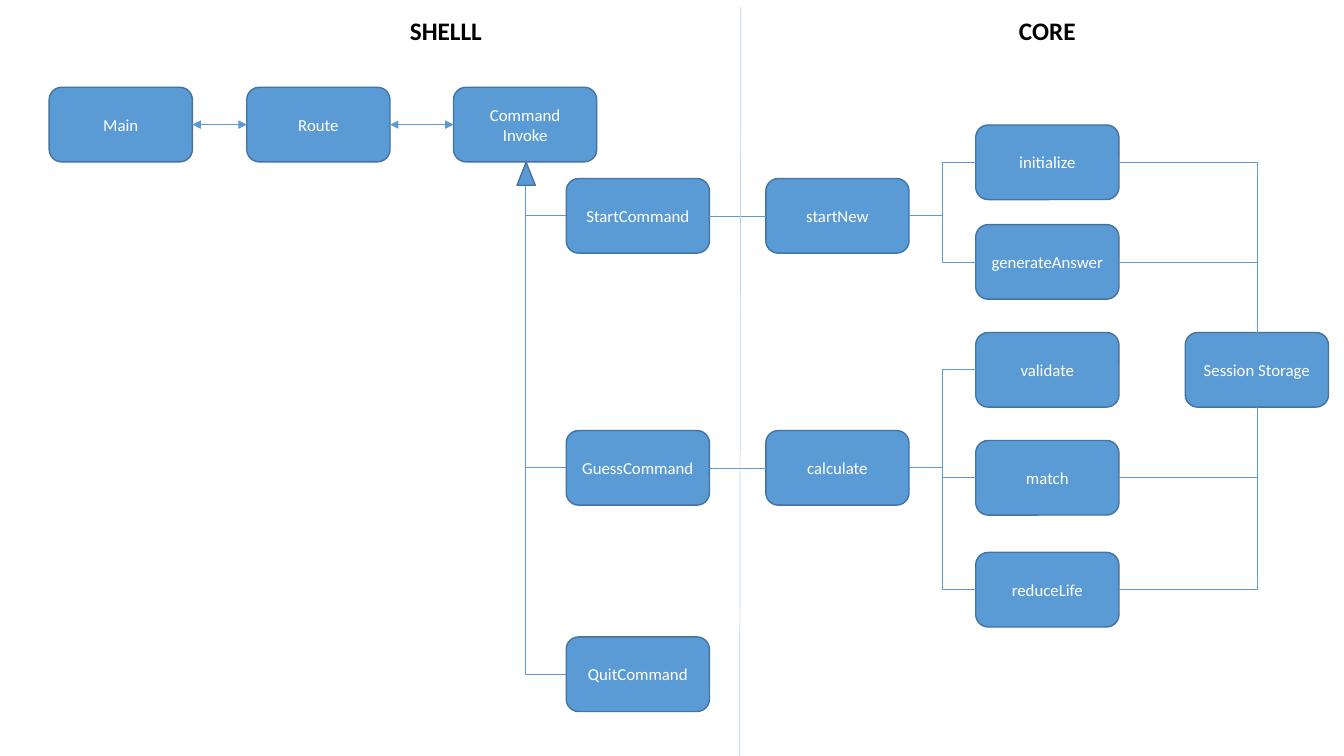
from pptx import Presentation
from pptx.dml.color import RGBColor
from pptx.enum.shapes import MSO_CONNECTOR, MSO_SHAPE
from pptx.enum.text import MSO_ANCHOR, PP_ALIGN
from pptx.oxml.ns import qn
from pptx.util import Cm, Pt
from lxml.etree import SubElement

BLUE = RGBColor(0x5B, 0x9B, 0xD5)
OUTLINE = RGBColor(0x43, 0x73, 0x9E)
PALE = RGBColor(0xB5, 0xD2, 0xEC)
WHITE = RGBColor(0xFF, 0xFF, 0xFF)
BLACK = RGBColor(0, 0, 0)

BOX_W, BOX_H = 3.61, 1.88
TOP, LEFT, BOTTOM, RIGHT = range(4)  # connection sites of a box

BOX_FONT = {"name": "Calibri", "size": Pt(12)}
HEADING_FONT = {"name": "Calibri", "size": Pt(18), "bold": True}

# Column x and the (label, y) of each box in it, in centimetres
COLUMNS = [
    (1.24, [("Main", 2.2)]),
    (6.22, [("Route", 2.2)]),
    (11.43, [("Command\nInvoke", 2.2)]),
    (14.27, [("StartCommand", 4.5), ("GuessCommand", 10.85), ("QuitCommand", 16.05)]),
    (19.3, [("startNew", 4.5), ("calculate", 10.85)]),
    (24.59, [("initialize", 3.15), ("generateAnswer", 5.66), ("validate", 8.38),
             ("match", 11.1), ("reduceLife", 13.92)]),
    (29.87, [("Session Storage", 8.38)]),
]
CALLS = {
    "startNew": ["initialize", "generateAnswer"],
    "calculate": ["validate", "match", "reduceLife"],
}


def set_text(tf, text, font, color, align):
    """Write one paragraph per line of text, all in the same format."""
    tf.text = text
    for p in tf.paragraphs:
        p.alignment = align
        for r in p.runs:
            r.font.color.rgb = color
            for name, value in font.items():
                setattr(r.font, name, value)


def add_block(slide, kind, x, y, w, h):
    """Add a blue preset shape with a thin darker outline."""
    sp = slide.shapes.add_shape(kind, Cm(x), Cm(y), Cm(w), Cm(h))
    sp.shadow.inherit = False
    sp.fill.solid()
    sp.fill.fore_color.rgb = BLUE
    sp.line.color.rgb = OUTLINE
    sp.line.width = Pt(1)
    return sp


def add_box(slide, x, y, label):
    """Add a labelled rounded box of the standard size."""
    sp = add_block(slide, MSO_SHAPE.ROUNDED_RECTANGLE, x, y, BOX_W, BOX_H)
    sp.text_frame.vertical_anchor = MSO_ANCHOR.MIDDLE
    set_text(sp.text_frame, label, BOX_FONT, WHITE, PP_ALIGN.CENTER)
    return sp


def add_heading(slide, x, w, text):
    """Add a bold column heading."""
    tf = slide.shapes.add_textbox(Cm(x), Cm(0.25), Cm(w), Cm(1.03)).text_frame
    tf.word_wrap = False
    set_text(tf, text, HEADING_FONT, BLACK, PP_ALIGN.LEFT)


def add_line(slide, kind=MSO_CONNECTOR.STRAIGHT, ends=(0, 0, 0, 0), color=BLUE):
    """Add a hairline connector without shadow."""
    cxn = slide.shapes.add_connector(kind, *(Cm(v) for v in ends))
    cxn.line.color.rgb = color
    cxn.line.width = Pt(0.5)
    SubElement(cxn._element.spPr, qn("a:effectLst"))
    return cxn


def link(slide, a, b, kind=MSO_CONNECTOR.STRAIGHT, sites=(RIGHT, LEFT)):
    """Connect two boxes at the given sites."""
    cxn = add_line(slide, kind)
    cxn.begin_connect(a, sites[0])
    cxn.end_connect(b, sites[1])
    return cxn


def add_two_way(slide, a, b):
    """Connect two boxes with an arrowhead at both ends."""
    ln = link(slide, a, b).line._get_or_add_ln()
    for end in ("a:headEnd", "a:tailEnd"):
        SubElement(ln, qn(end), type="triangle")


def add_corner(slide, a, b, sites):
    """Connect two boxes with a single bend, leaving the first sideways."""
    cxn = link(slide, a, b, MSO_CONNECTOR.ELBOW, sites)
    cxn._element.spPr.find(qn("a:prstGeom")).set("prst", "bentConnector2")


def main():
    """Build the shell and core diagram."""
    prs = Presentation()
    prs.slide_width, prs.slide_height = Cm(33.87), Cm(19.05)
    slide = prs.slides.add_slide(prs.slide_layouts[6])

    add_heading(slide, 10.08, 2.34, "SHELLL")
    add_heading(slide, 25.43, 1.93, "CORE")
    boxes = {label: add_box(slide, x, y, label)
             for x, column in COLUMNS for label, y in column}
    invoke, storage = boxes["Command\nInvoke"], boxes["Session Storage"]

    add_two_way(slide, boxes["Main"], boxes["Route"])
    add_two_way(slide, boxes["Route"], invoke)
    for command in ("StartCommand", "GuessCommand", "QuitCommand"):
        add_corner(slide, boxes[command], invoke, (LEFT, BOTTOM))
    add_block(slide, MSO_SHAPE.ISOSCELES_TRIANGLE, 13.03, 4.09, 0.46, 0.58)

    link(slide, boxes["StartCommand"], boxes["startNew"])
    link(slide, boxes["GuessCommand"], boxes["calculate"])
    add_line(slide, ends=(18.67, 0.18, 18.64, 19.05), color=PALE)
    for caller, steps in CALLS.items():
        for step in steps:
            link(slide, boxes[caller], boxes[step], MSO_CONNECTOR.ELBOW)

    for step, side in (("initialize", TOP), ("generateAnswer", TOP),
                       ("match", BOTTOM), ("reduceLife", BOTTOM)):
        add_corner(slide, boxes[step], storage, (RIGHT, side))

    prs.save("out.pptx")


main()
